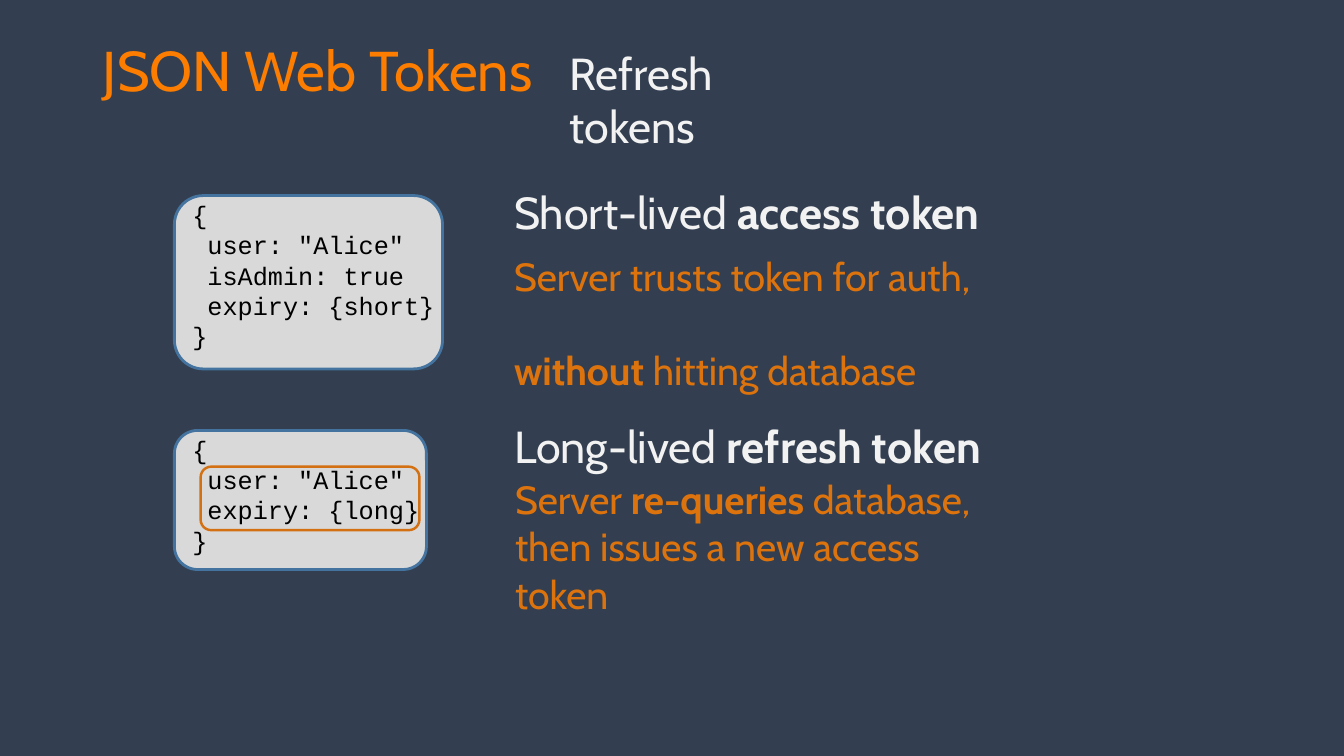
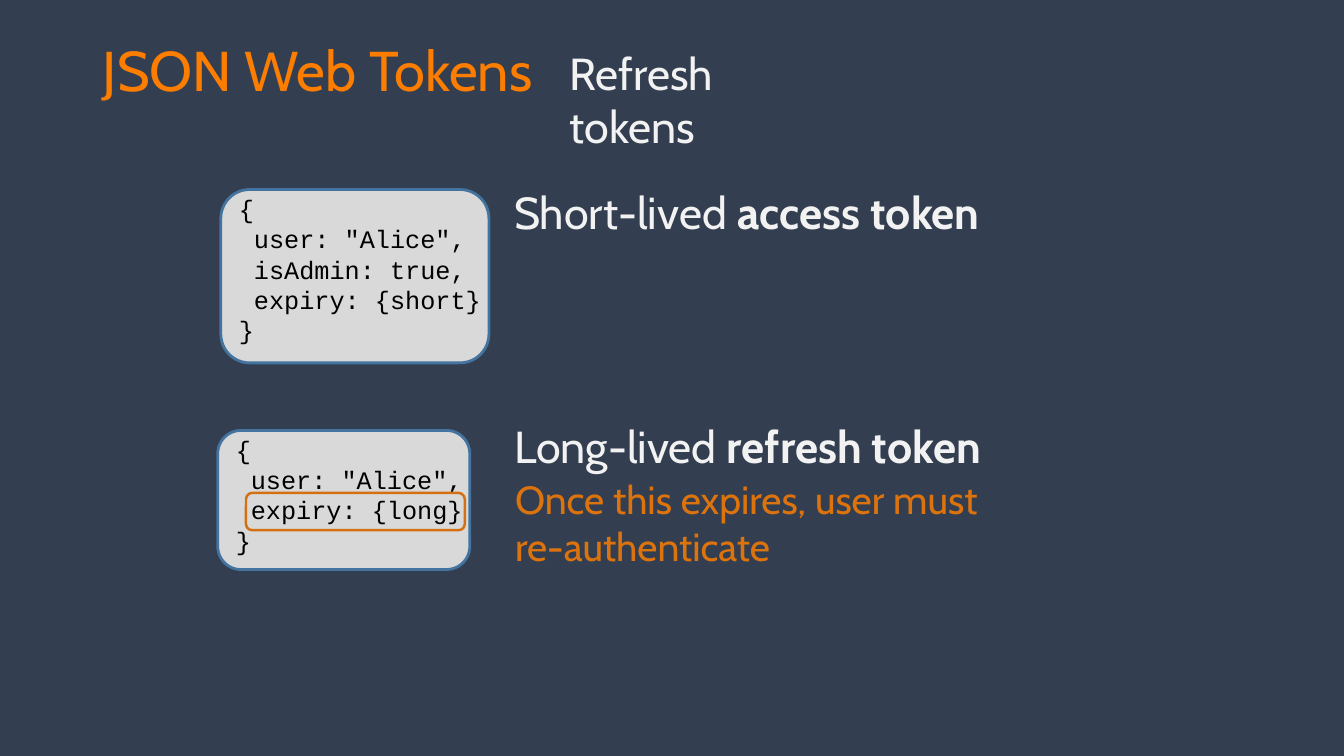
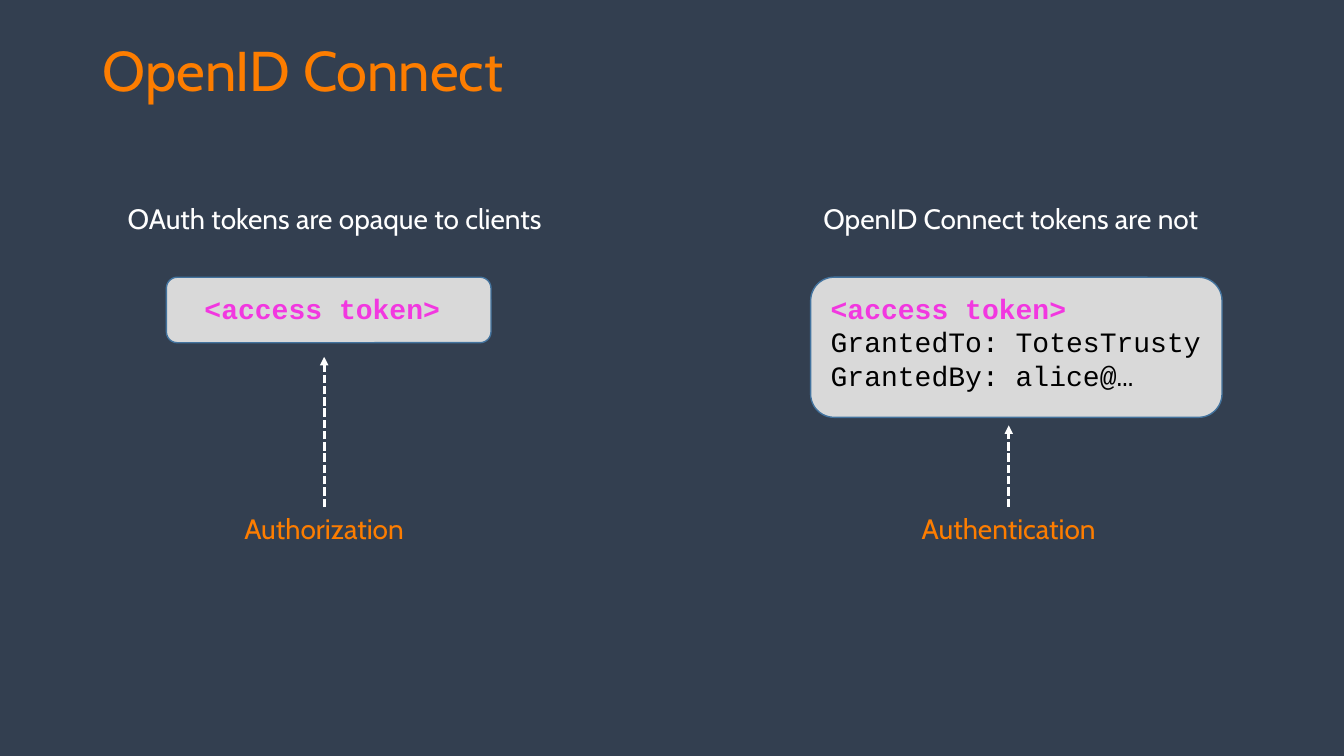
import pptx
import pptx.dml.color
import pptx.enum.dml
import pptx.enum.shapes
import pptx.enum.text
import pptx.oxml.ns
import pptx.util
from pptx.util import Inches

COLORS = {
    "background": "333F50", "title": "FD7D00", "heading": "F2F2F2", "note": "DD730D",
    "card": "D9D9D9", "border": "43739E", "highlight": "D37011",
    "code": "000000", "token": "F237E0", "white": "FFFFFF",
}
STYLES = {
    "title": {"name": "Cabin", "size": 40, "color": "title"},
    "heading": {"name": "Cabin", "size": 32, "color": "heading"},
    "note": {"name": "Cabin", "size": 28, "color": "note"},
    "caption": {"name": "Cabin", "size": 20, "color": "white"},
    "label": {"name": "Cabin", "size": 20, "color": "title"},
    "code": {"name": "Courier New", "size": 18, "color": "code"},
    "claims": {"name": "Courier New", "size": 20, "color": "code"},
    "token": {"name": "Courier New", "size": 20, "color": "token"},
}
LEFT = pptx.enum.text.PP_ALIGN.LEFT
CENTER = pptx.enum.text.PP_ALIGN.CENTER


def rgb(name):
    return pptx.dml.color.RGBColor.from_string(COLORS[name])


class Deck:
    def __init__(self):
        self.prs = pptx.Presentation()
        self.prs.slide_width, self.prs.slide_height = Inches(13.33), Inches(7.5)
        fill = self.prs.slide_master.background.fill
        fill.solid()
        fill.fore_color.rgb = rgb("background")
        self.slide = None

    def add_slide(self, title):
        self.slide = self.prs.slides.add_slide(self.prs.slide_layouts[5])
        sp = self.slide.shapes.title
        place = {"left": 0.92, "top": 0.3, "width": 6.98, "height": 0.77}
        for side, value in place.items():
            setattr(sp, side, Inches(value))
        self.fill_text(sp, [title], "title")

    def fill_text(self, sp, lines, style, align=LEFT, gap=0):
        """Fill sp with lines; ** toggles bold, and a (text, style) pair overrides style."""
        tf = sp.text_frame
        frame = {"word_wrap": True,
                 "auto_size": pptx.enum.text.MSO_AUTO_SIZE.SHAPE_TO_FIT_TEXT,
                 "vertical_anchor": pptx.enum.text.MSO_ANCHOR.TOP}
        for name, value in frame.items():
            setattr(tf, name, value)
        for i, line in enumerate(lines):
            text, look = line if isinstance(line, tuple) else (line, style)
            p = tf.add_paragraph() if i else tf.paragraphs[0]
            p.alignment = align
            if i and gap:
                p.space_before = pptx.util.Pt(gap)
            for j, part in enumerate(text.split("**")):
                if part:
                    self.add_run(p, part, STYLES[look], j % 2 == 1)

    def add_run(self, p, text, style, bold):
        r = p.add_run()
        r.text = text
        values = {"name": style["name"], "size": pptx.util.Pt(style["size"]), "bold": bold}
        for name, value in values.items():
            setattr(r.font, name, value)
        r.font.color.rgb = rgb(style["color"])

    def text(self, x, y, w, h, lines, style, **options):
        sp = self.slide.shapes.add_textbox(*map(Inches, (x, y, w, h)))
        self.fill_text(sp, lines, style, **options)
        return sp

    def round_rect(self, x, y, w, h, line, weight, fill=None):
        kind = pptx.enum.shapes.MSO_SHAPE.ROUNDED_RECTANGLE
        sp = self.slide.shapes.add_shape(kind, *map(Inches, (x, y, w, h)))
        sp.shadow.inherit = False
        if fill:
            sp.fill.solid()
            sp.fill.fore_color.rgb = rgb(fill)
        else:
            sp.fill.background()
        sp.line.color.rgb = rgb(line)
        sp.line.width = pptx.util.Pt(weight)

    def code_card(self, x, y, w, h, lines):
        self.round_rect(x, y, w, h, "border", 2, "card")
        self.text(x + 0.08, y - 0.01, 2.66, 0.3 * len(lines) + 0.1, lines, "code")

    def claims_card(self, x, w, h, indent, text_w, lines):
        self.round_rect(x, 2.75, w, h, "border", 1, "card")
        self.text(x + indent, 2.84, text_w, h - 0.24, lines, "claims")

    def highlight(self, x, y, h):
        self.round_rect(x, y, 2.17, h, "highlight", 1.75)

    def arrow_up(self, label, tip_y):
        x = label.left + label.width // 2
        kind = pptx.enum.shapes.MSO_CONNECTOR.STRAIGHT
        cxn = self.slide.shapes.add_connector(kind, x, label.top, x, Inches(tip_y))
        cxn.begin_connect(label, 0)
        cxn.line.color.rgb = rgb("white")
        cxn.line.width = pptx.util.Pt(2)
        cxn.line.dash_style = pptx.enum.dml.MSO_LINE.SQUARE_DOT
        qn = pptx.oxml.ns.qn
        sp_pr = cxn._element.spPr
        ln = sp_pr.find(qn("a:ln"))
        ln.append(ln.makeelement(qn("a:tailEnd"), {"type": "triangle"}))
        sp_pr.append(sp_pr.makeelement(qn("a:effectLst"), {}))

    def refresh_slide(self):
        """Start a slide with the headings that both refresh token slides show."""
        self.add_slide("JSON Web Tokens")
        self.text(5.55, 0.4, 2.6, 1.17, ["Refresh tokens"], "heading")
        self.text(5, 1.78, 5.73, 0.64, ["Short-lived **access token**"], "heading")
        self.text(5, 4.11, 5.73, 0.64, ["Long-lived **refresh token**"], "heading")


def main():
    deck = Deck()

    deck.refresh_slide()
    deck.code_card(1.73, 1.94, 2.66, 1.72,
                   ["{", ' user: "Alice"', " isAdmin: true", " expiry: {short}", "}"])
    deck.code_card(1.73, 4.27, 2.5, 1.38, ["{", ' user: "Alice"', " expiry: {long}", "}"])
    deck.highlight(1.99, 4.63, 0.63)
    deck.text(5, 2.45, 4.78, 1.5,
              ["Server trusts token for auth,", "**without** hitting database"],
              "note", gap=33.6)
    deck.text(5.01, 4.67, 5.21, 1.5,
              ["Server **re-queries** database, then issues a new access token"], "note")

    deck.refresh_slide()
    deck.code_card(2.19, 1.88, 2.66, 1.72,
                   ["{", ' user: "Alice",', " isAdmin: true,", " expiry: {short}", "}"])
    deck.code_card(2.16, 4.27, 2.5, 1.38, ["{", ' user: "Alice",', " expiry: {long}", "}"])
    deck.highlight(2.44, 4.89, 0.37)
    deck.text(5.01, 4.67, 5.21, 1.04,
              ["Once this expires, user must re-authenticate"], "note")

    deck.add_slide("OpenID Connect")
    token = ("**<access token>**", "token")
    deck.claims_card(1.65, 3.22, 0.65, 0.28, 2.56, [token])
    deck.claims_card(8.04, 4.08, 1.39, 0.1, 3.9,
                     [token, "GrantedTo: TotesTrusty", "GrantedBy: alice@…"])
    for x, w, caption, label_x, label, tip_y in (
            (1.12, 4.4, "OAuth tokens are opaque to clients", 2.23, "Authorization", 3.54),
            (7.74, 4.57, "OpenID Connect tokens are not", 9.02, "Authentication", 4.22)):
        deck.text(x, 1.95, w, 0.44, [caption], "caption", align=CENTER)
        sp = deck.text(label_x, 5.03, 1.97, 0.44, [label], "label", align=CENTER)
        deck.arrow_up(sp, tip_y)

    deck.prs.save("out.pptx")


if __name__ == "__main__":
    main()
